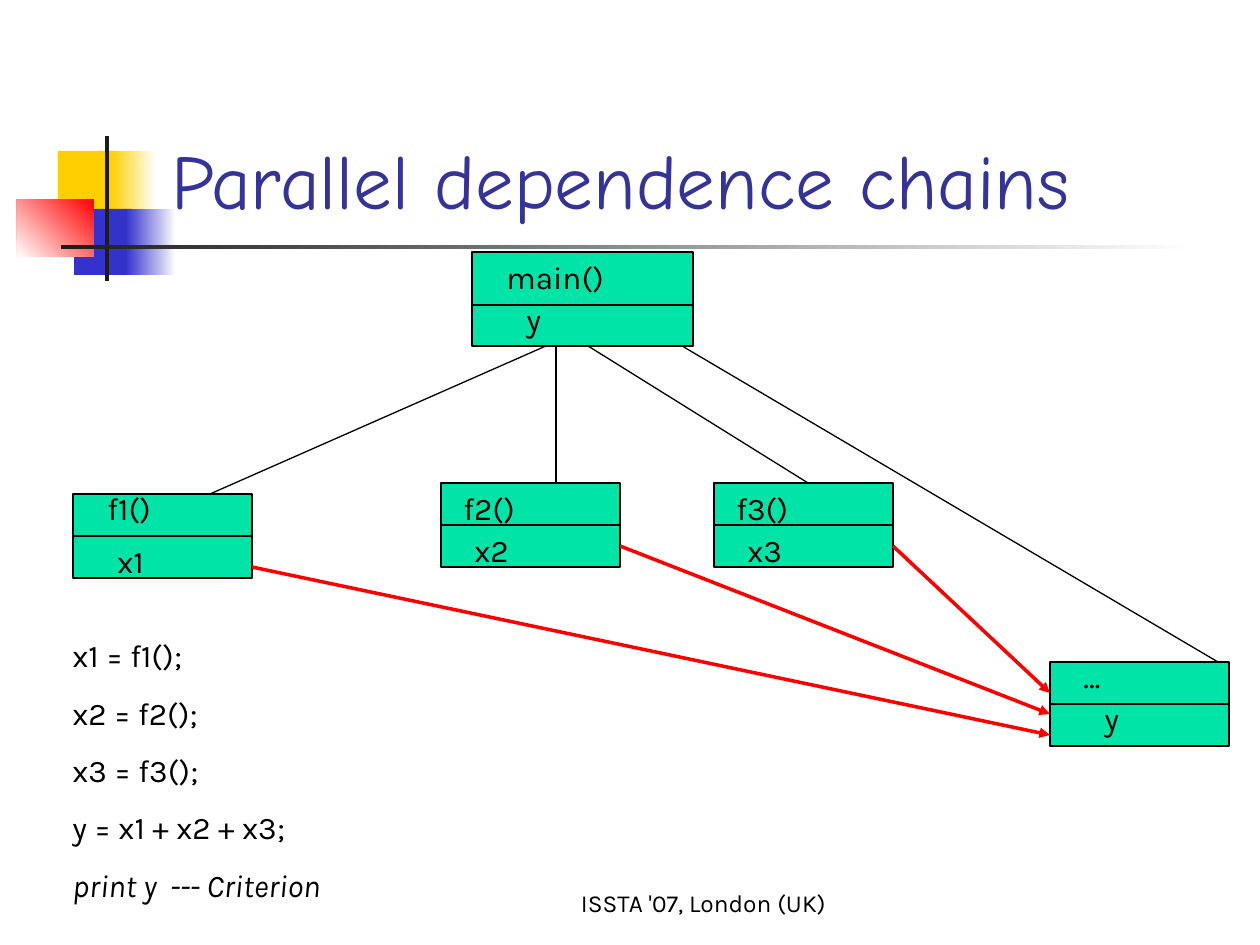
from lxml import etree
from pptx import Presentation
from pptx.dml.color import RGBColor
from pptx.enum.shapes import MSO_CONNECTOR, MSO_SHAPE
from pptx.enum.text import MSO_ANCHOR, PP_ALIGN
from pptx.oxml.ns import qn
from pptx.util import Emu, Pt

RECTANGLE = MSO_SHAPE.RECTANGLE
STRAIGHT = MSO_CONNECTOR.STRAIGHT
TOP, BOTTOM = MSO_ANCHOR.TOP, MSO_ANCHOR.BOTTOM
LEFT, CENTER = PP_ALIGN.LEFT, PP_ALIGN.CENTER

WHITE = RGBColor(0xFF, 0xFF, 0xFF)
BLACK = RGBColor(0x00, 0x00, 0x00)
CHARCOAL = RGBColor(0x1C, 0x1C, 0x1C)
YELLOW = RGBColor(0xFF, 0xCF, 0x01)
BLUE = RGBColor(0x33, 0x33, 0xCC)
INDIGO = RGBColor(0x33, 0x33, 0x99)
RED = RGBColor(0xFF, 0x00, 0x00)
GREEN = RGBColor(0x00, 0xE4, 0xA8)

PX = 914400 / 126
TITLE = {"name": "Comic Neue", "size": Pt(44)}
BODY = {"name": "Karla", "size": Pt(18)}
FOOTER = {"name": "Karla", "size": Pt(14)}

deck = Presentation()
deck.slide_width, deck.slide_height = Emu(round(1260 * PX)), Emu(round(945 * PX))
page = deck.slides.add_slide(deck.slide_layouts[6])


def add_text(bounds, lines, style, color=BLACK, anchor=TOP, align=LEFT):
    box = page.shapes.add_textbox(*[Emu(round(n * PX)) for n in bounds])
    frame = box.text_frame
    frame.word_wrap = True
    frame.vertical_anchor = anchor
    for index, line in enumerate(lines):
        para = frame.paragraphs[0] if index == 0 else frame.add_paragraph()
        para.alignment = align
        if index:
            para.space_before = Pt(11.2)
        span = para.add_run()
        span.text = line
        for key, value in style.items():
            setattr(span.font, key, value)
        span.font.color.rgb = color
    return box


def add_line(start, end, color=BLACK, width=0.75, arrow=False):
    points = [Emu(round(n * PX)) for n in (*start, *end)]
    line = page.shapes.add_connector(STRAIGHT, *points)
    line.line.color.rgb = color
    line.line.width = Pt(width)
    if arrow:
        etree.SubElement(line.line._get_or_add_ln(), qn("a:tailEnd"), type="triangle")
    etree.SubElement(line._element.spPr, qn("a:effectLst"))


decorations = [
    ((58, 151, 60, 66), [YELLOW], 0),
    ((111, 151, 45, 66), [WHITE, YELLOW], 180),
    ((74, 209, 58, 66), [BLUE], 0),
    ((126, 209, 50, 66), [WHITE, BLUE], 180),
    ((17, 199, 77, 58), [RED, WHITE], 225),
    ((105, 136, 4, 145), [CHARCOAL], 0),
    ((61, 245, 1134, 4), [WHITE, CHARCOAL], 180),
]
for bounds, colors, angle in decorations:
    block = page.shapes.add_shape(RECTANGLE, *[Emu(round(n * PX)) for n in bounds])
    block.shadow.inherit = False
    block.line.fill.background()
    if len(colors) == 1:
        block.fill.solid()
        block.fill.fore_color.rgb = colors[0]
    else:
        block.fill.gradient()
        block.fill.gradient_angle = angle
        for stop, color in zip(block.fill.gradient_stops, colors):
            stop.color.rgb = color

add_text((159, 29, 1074, 202), ["Parallel dependence chains"], TITLE, INDIGO, BOTTOM)

nodes = [
    ((472, 252, 221, 94), 53, ("main()", 494, 252), ("y", 514, 294)),
    ((73, 494, 179, 84), 42, ("f1()", 95, 483), ("x1", 105, 536)),
    ((441, 483, 179, 84), 42, ("f2()", 451, 483), ("x2", 462, 525)),
    ((714, 483, 179, 84), 42, ("f3()", 724, 483), ("x3", 735, 525)),
    ((1050, 662, 179, 84), 42, ("…", 1071, 651), ("y", 1092, 693)),
]
for (left, top, width, height), split, *labels in nodes:
    node = page.shapes.add_shape(
        RECTANGLE, *[Emu(round(n * PX)) for n in (left, top, width, height)]
    )
    node.shadow.inherit = False
    node.fill.solid()
    node.fill.fore_color.rgb = GREEN
    node.line.color.rgb = BLACK
    node.line.width = Pt(0.75)
    add_line((left, top + split), (left + width, top + split))
    for label, label_left, label_top in labels:
        add_text((label_left, label_top, 137, 50), [label], BODY)

calls = [
    ((546, 346), (210, 494)),
    ((556, 346), (556, 483)),
    ((588, 346), (808, 483)),
    ((682, 346), (1218, 662)),
]
for start, end in calls:
    add_line(start, end)

dependences = [
    ((252, 567), (1050, 735)),
    ((620, 546), (1050, 714)),
    ((893, 546), (1050, 693)),
]
for start, end in dependences:
    add_line(start, end, RED, 2, True)

code = ["x1 = f1();", "x2 = f2();", "x3 = f3();", "y = x1 + x2 + x3;", "print y  --- Criterion"]
listing = add_text((60, 630, 455, 281), code, BODY)
listing.text_frame.paragraphs[-1].runs[0].font.italic = True

add_text((504, 861, 399, 63), ["ISSTA '07, London (UK)"], FOOTER, BLACK, BOTTOM, CENTER)

deck.save("out.pptx")
